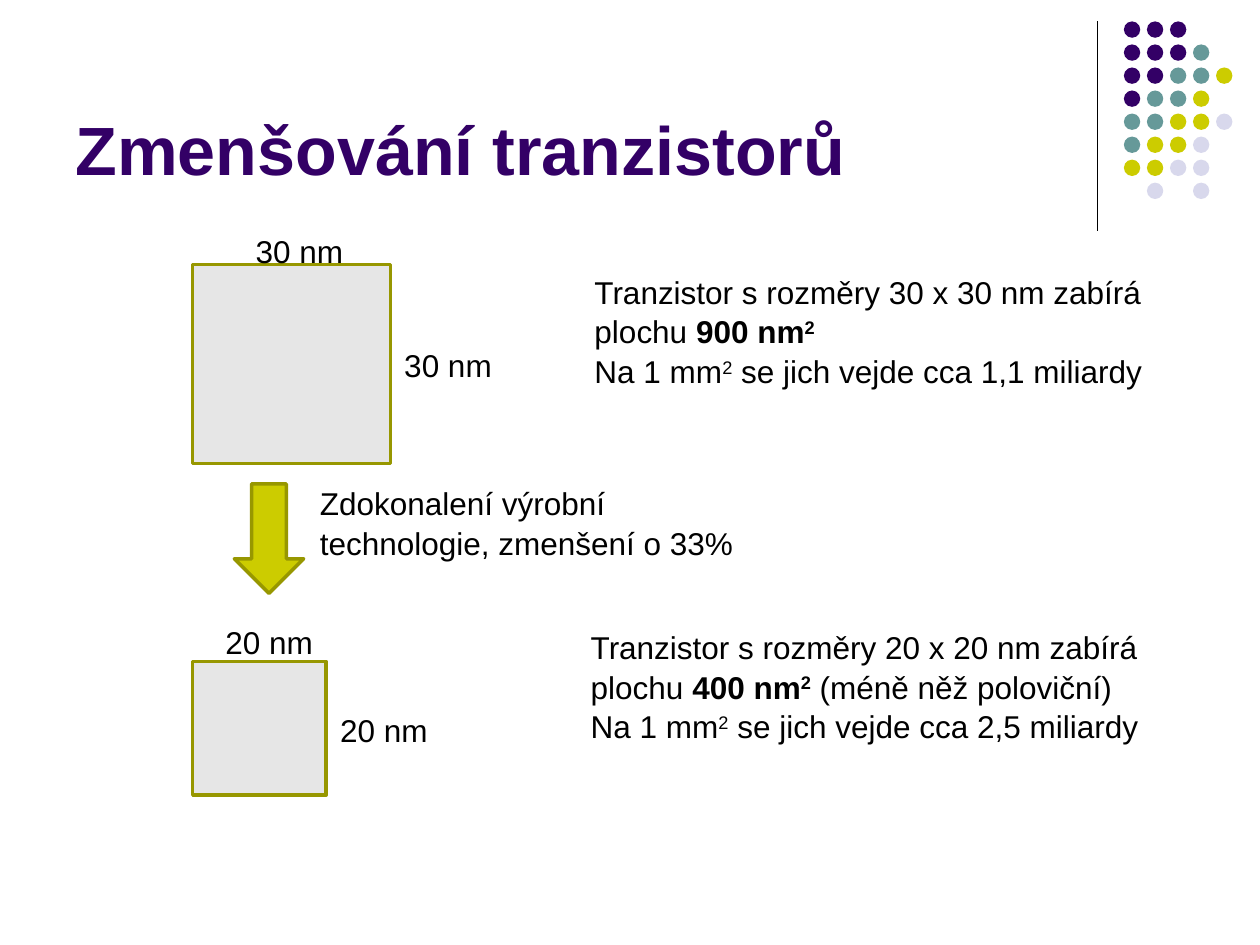
from lxml.etree import SubElement
from pptx import Presentation
from pptx.dml.color import RGBColor
from pptx.enum.shapes import MSO_CONNECTOR as Connector, MSO_SHAPE as Shape
from pptx.enum.text import MSO_ANCHOR as Anchor, MSO_AUTO_SIZE as AutoSize, PP_ALIGN as Align
from pptx.oxml.ns import qn
from pptx.util import Inches, Pt

PURPLE, TEAL, LIME, LILAC = "330066", "669999", "CCCC00", "D8D8EC"
BLACK, GREY, OLIVE = "000000", "E6E6E6", "979700"
DOT_COLOURS = {"P": PURPLE, "T": TEAL, "L": LIME, "V": LILAC}
DOT_ROWS = ["PPP", "PPPT", "PPTTL", "PTTL", "TTLLV", "TLLV", "LLVV", " V V"]


def colour(hex_code):
    return RGBColor.from_string(hex_code)


def add_text(paragraph, text, size=18, hex_code=BLACK, bold=False, superscript=False):
    run = paragraph.add_run()
    run.text = text
    run.font.name = "Arial"
    run.font.size = Pt(size)
    run.font.bold = bold
    run.font.color.rgb = colour(hex_code)
    if superscript:
        run.font._element.set("baseline", "30000")


class SlideBuilder:
    line_width = 2
    line_spacing = 1.05

    def __init__(self, slide):
        self.slide = slide

    def title(self, text, left, top, width, height):
        heading = self.slide.shapes.title
        heading.left, heading.top = Inches(left), Inches(top)
        heading.width, heading.height = Inches(width), Inches(height)
        frame = heading.text_frame
        frame.vertical_anchor = Anchor.BOTTOM
        frame.word_wrap = True
        frame.auto_size = AutoSize.NONE
        frame.paragraphs[0].alignment = Align.LEFT
        add_text(frame.paragraphs[0], text, size=39, hex_code=PURPLE, bold=True)

    def shape(self, kind, left, top, width, height, fill, outline=None):
        figure = self.slide.shapes.add_shape(
            kind, Inches(left), Inches(top), Inches(width), Inches(height))
        figure.shadow.inherit = False
        figure.fill.solid()
        figure.fill.fore_color.rgb = colour(fill)
        if outline:
            figure.line.color.rgb = colour(outline)
            figure.line.width = Pt(self.line_width)
        else:
            figure.line.fill.background()

    def vertical_rule(self, x, top, bottom):
        rule = self.slide.shapes.add_connector(
            Connector.STRAIGHT, Inches(x), Inches(top), Inches(x), Inches(bottom))
        rule.line.color.rgb = colour(BLACK)
        rule.line.width = Pt(0.75)
        SubElement(rule._element.spPr, qn("a:effectLst"))

    def dots(self, left, top, pitch, diameter):
        for row, pattern in enumerate(DOT_ROWS):
            for column, key in enumerate(pattern):
                if key in DOT_COLOURS:
                    self.shape(Shape.OVAL, left + column * pitch, top + row * pitch,
                               diameter, diameter, DOT_COLOURS[key])

    def text(self, lines, left, top, width, height):
        box = self.slide.shapes.add_textbox(
            Inches(left), Inches(top), Inches(width), Inches(height))
        frame = box.text_frame
        frame.word_wrap = True
        frame.auto_size = AutoSize.SHAPE_TO_FIT_TEXT
        for index, parts in enumerate(lines):
            paragraph = frame.add_paragraph() if index else frame.paragraphs[0]
            paragraph.line_spacing = self.line_spacing
            for text, style in parts:
                add_text(paragraph, text, **style)

    def label(self, text, left, top, width=1.02, height=0.4):
        self.text([[(text, {})]], left, top, width, height)

    def description(self, side, area, remark, count, left, top, width):
        self.text([
            [(f"Tranzistor s rozměry {side} x {side} nm zabírá plochu ", {}),
             (f"{area} nm", {"bold": True}),
             ("2", {"bold": True, "superscript": True})]
            + ([(remark, {})] if remark else []),
            [("Na 1 mm", {}), ("2", {"superscript": True}),
             (f" se jich vejde cca {count} miliardy", {})],
        ], left, top, width, 1.01)


def main():
    presentation = Presentation()
    presentation.slide_width, presentation.slide_height = Inches(10), Inches(7.5)
    title_only = presentation.slide_layouts[5]
    builder = SlideBuilder(presentation.slides.add_slide(title_only))

    builder.vertical_rule(8.71, 0.17, 1.83)
    builder.dots(8.92, 0.17, 1.28 / 7, 0.13)
    builder.title("Zmenšování tranzistorů", 0.5, 0.13, 8.25, 1.42)

    builder.shape(Shape.RECTANGLE, 1.53, 2.1, 1.57, 1.58, GREY, OLIVE)
    builder.label("30 nm", 1.93, 1.78)
    builder.label("30 nm", 3.11, 2.68)
    builder.description(30, 900, "", "1,1", 4.62, 2.1, 4.94)

    builder.shape(Shape.RECTANGLE, 1.53, 5.25, 1.06, 1.06, GREY, OLIVE)
    builder.label("20 nm", 1.69, 4.88)
    builder.label("20 nm", 2.6, 5.58)
    builder.description(20, 400, " (méně něž poloviční)", "2,5", 4.59, 4.92, 4.74)

    builder.shape(Shape.DOWN_ARROW, 1.86, 3.84, 0.55, 0.87, LIME, OLIVE)
    builder.label("Zdokonalení výrobní technologie, zmenšení o 33%", 2.44, 3.78, 3.58, 0.71)

    presentation.save("out.pptx")


if __name__ == "__main__":
    main()
